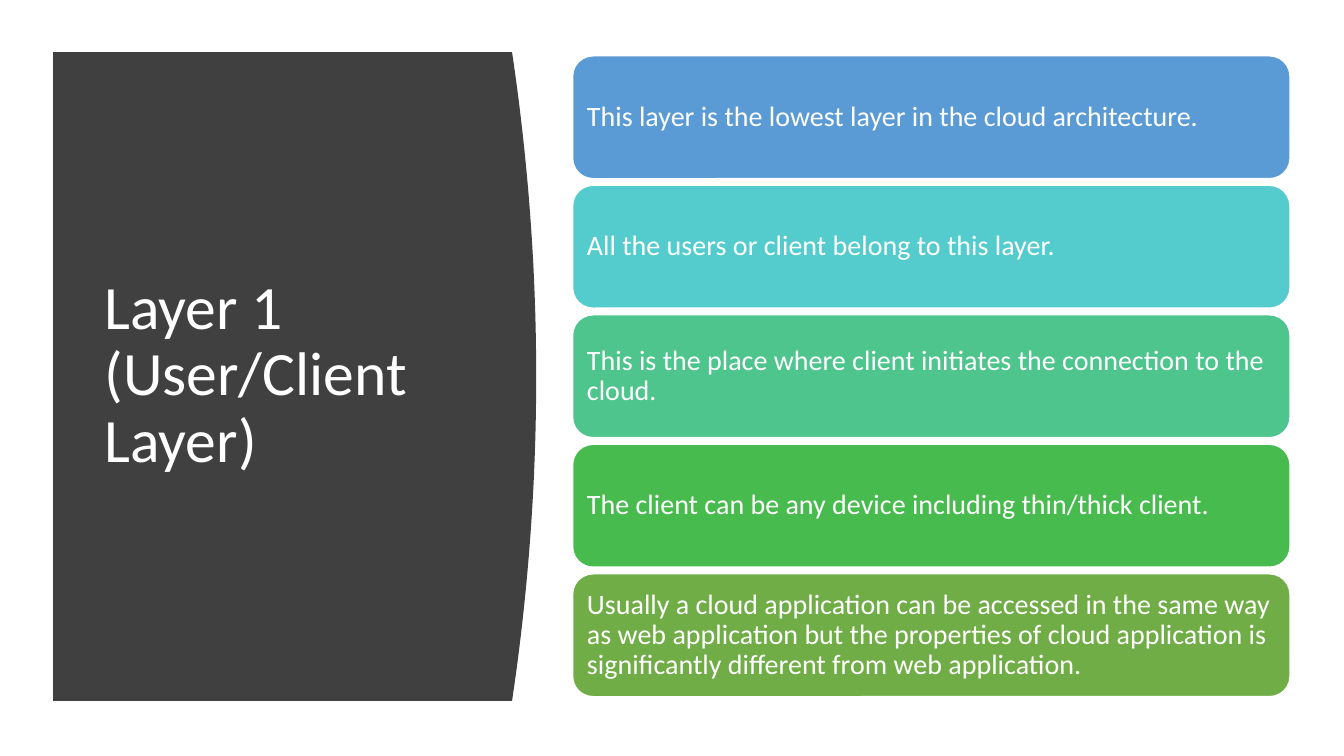
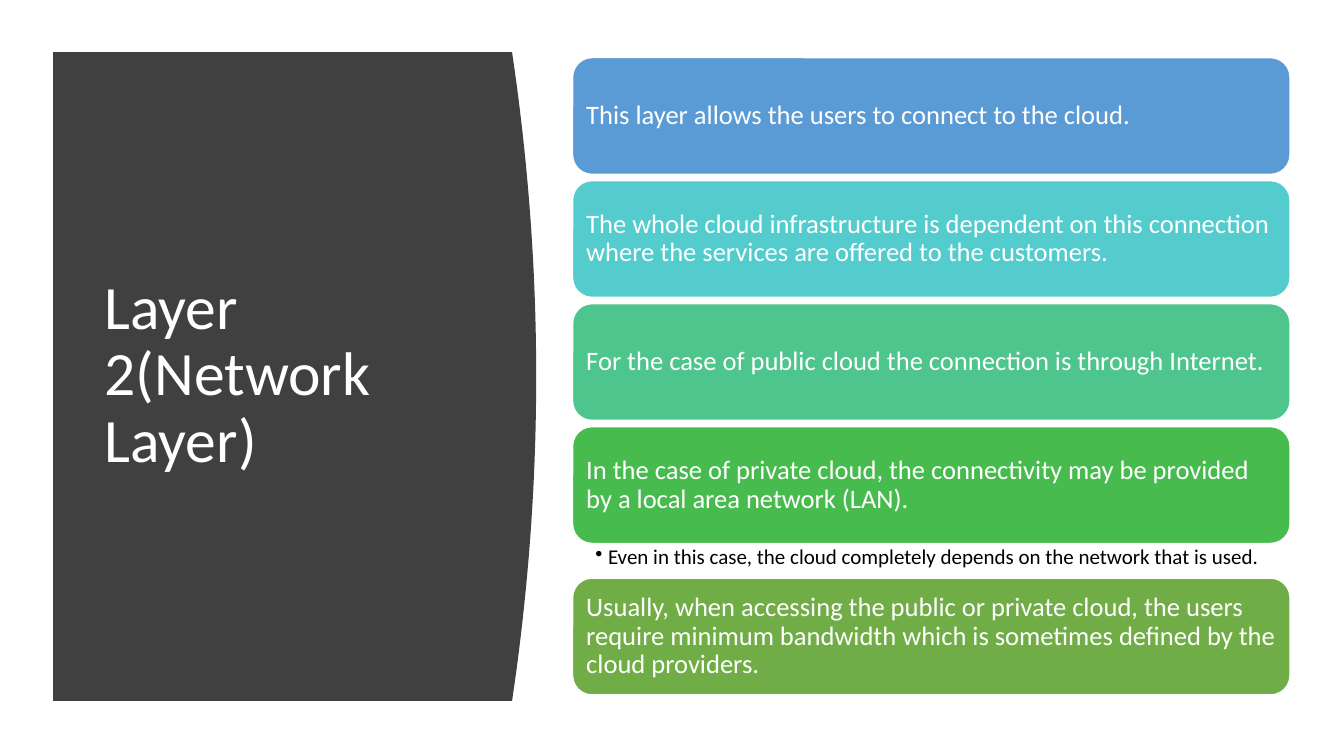
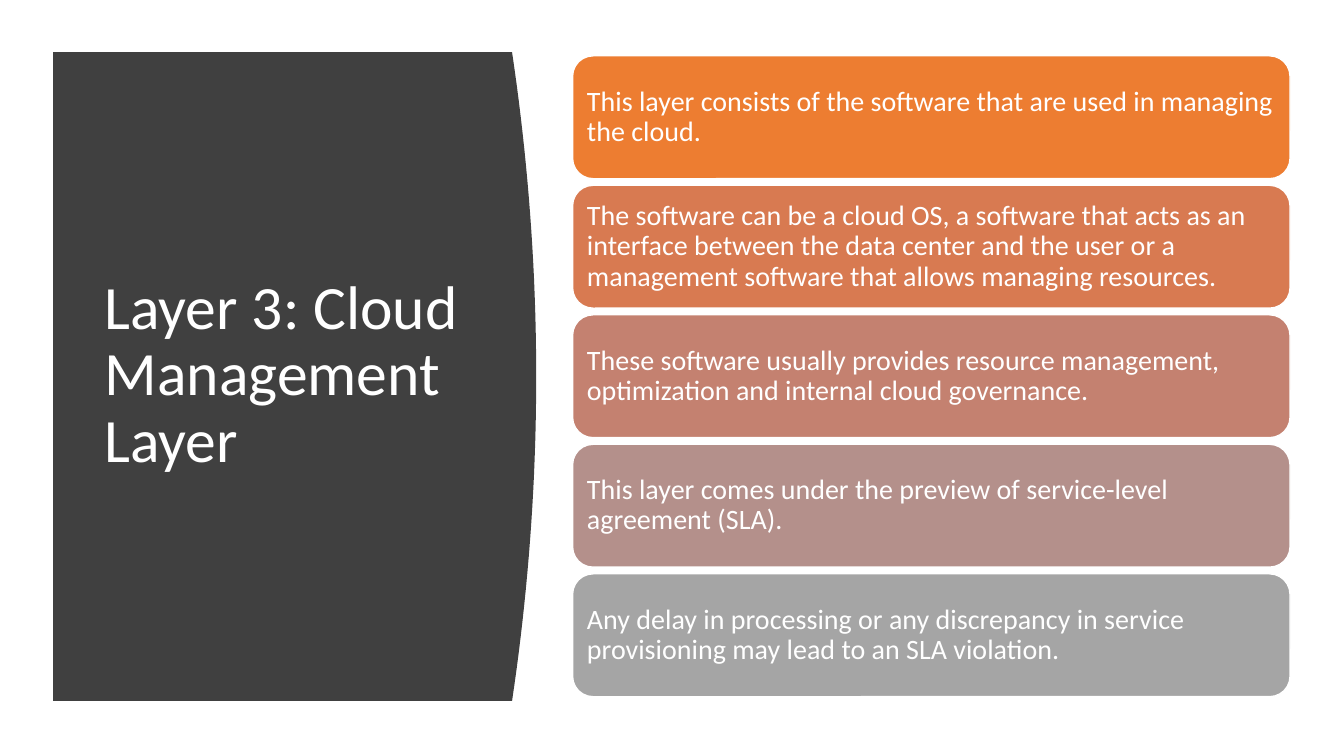
import lxml.etree
import pptx
import pptx.dml.color
import pptx.enum.shapes
import pptx.enum.text
import pptx.oxml.ns
import pptx.util

Pt = pptx.util.Pt

WHITE, BLACK, CHARCOAL = "FFFFFF", "000000", "404040"
BLUE_TO_GREEN = ["5B9BD5", "54CCCD", "4DC58D", "48BB4F", "70AD47"]
ORANGE_TO_GRAY = ["ED7D31", "D87A51", "C48170", "B4908B", "A5A5A5"]

LAYERS = [
    {
        "title": "Layer 1 (User/Client Layer)",
        "colors": BLUE_TO_GREEN,
        "size": 20,
        "cards": [
            "This layer is the lowest layer in the cloud architecture.",
            "All the users or client belong to this layer.",
            "This is the place where client initiates the connection to the cloud.",
            "The client can be any device including thin/thick client.",
            "Usually a cloud application can be accessed in the same way as web application "
            "but the properties of cloud application is significantly different from web "
            "application.",
        ],
        "notes": {},
    },
    {
        "title": "Layer 2(Network Layer)",
        "colors": BLUE_TO_GREEN,
        "size": 19,
        "cards": [
            "This layer allows the users to connect to the cloud.",
            "The whole cloud infrastructure is dependent on this connection where the "
            "services are offered to the customers.",
            "For the case of public cloud the connection is through Internet.",
            "In the case of private cloud, the connectivity may be provided by a local area "
            "network (LAN).",
            "Usually, when accessing the public or private cloud, the users require minimum "
            "bandwidth which is sometimes defined by the cloud providers.",
        ],
        "notes": {
            3: "Even in this case, the cloud completely depends on the network that is used.",
        },
    },
    {
        "title": "Layer 3: Cloud Management Layer",
        "colors": ORANGE_TO_GRAY,
        "size": 20,
        "cards": [
            "This layer consists of the software that are used in managing the cloud.",
            "The software can be a cloud OS, a software that acts as an interface between "
            "the data center and the user or a management software that allows managing "
            "resources.",
            "These software usually provides resource management, optimization and internal "
            "cloud governance.",
            "This layer comes under the preview of service-level agreement (SLA).",
            "Any delay in processing or any discrepancy in service provisioning may lead to "
            "an SLA violation.",
        ],
        "notes": {},
    },
]


def rgb(color):
    return pptx.dml.color.RGBColor.from_string(color)


class Deck:
    """Holds the shared style and the slide being built; lengths are in points."""

    font_name = "Calibri"
    stack_left, stack_width, stack_middle = 409, 512.5, 268.75
    note_height = 24.8

    def __init__(self):
        self.presentation = pptx.Presentation()
        self.presentation.slide_width = Pt(960)
        self.presentation.slide_height = Pt(540)
        self.slide = None

    def add_slide(self, title):
        layout = self.presentation.slide_layouts.get_by_name("Title Only")
        self.slide = self.presentation.slides.add_slide(layout)
        self.add_panel()
        self.set_title(title)

    def add_panel(self):
        """Draws the dark panel, its right edge a parabola, behind the title."""
        left, top, corner, bulge, height, steps = 38, 37.25, 365.75, 17.25, 463.5, 40
        edge = []
        for step in range(steps + 1):
            offset = 2 * step / steps - 1
            x = corner + bulge * (1 - offset ** 2)
            edge.append((Pt(x), Pt(top + height * step / steps)))
        builder = self.slide.shapes.build_freeform(Pt(left), Pt(top))
        builder.add_line_segments(edge + [(Pt(left), Pt(top + height))], close=True)
        panel = builder.convert_to_shape()
        panel.shadow.inherit = False
        panel.fill.solid()
        panel.fill.fore_color.rgb = rgb(CHARCOAL)
        panel.line.fill.background()
        self.slide.shapes.title.element.addprevious(panel.element)

    def set_title(self, text):
        title = self.slide.shapes.title
        title.left, title.top, title.width, title.height = Pt(67.5), Pt(80), Pt(269.5), Pt(377)
        self.set_text(title.text_frame, text, 44, WHITE)

    def set_text(self, frame, text, size, color):
        frame.word_wrap = True
        frame.auto_size = pptx.enum.text.MSO_AUTO_SIZE.NONE
        frame.vertical_anchor = pptx.enum.text.MSO_ANCHOR.MIDDLE
        paragraph = frame.paragraphs[0]
        paragraph.text = text
        paragraph.alignment = pptx.enum.text.PP_ALIGN.LEFT
        paragraph.line_spacing = 0.9
        paragraph.font.name = self.font_name
        paragraph.font.size = Pt(size)
        paragraph.font.color.rgb = rgb(color)

    def add_card(self, text, top, height, color, size):
        card = self.slide.shapes.add_shape(
            pptx.enum.shapes.MSO_SHAPE.ROUNDED_RECTANGLE,
            Pt(self.stack_left), Pt(top), Pt(self.stack_width), Pt(height))
        card.shadow.inherit = False
        card.fill.solid()
        card.fill.fore_color.rgb = rgb(color)
        card.line.color.rgb = rgb(WHITE)
        card.line.width = Pt(1)
        frame = card.text_frame
        frame.margin_left = frame.margin_right = Pt(0.3 * size)
        frame.margin_top = frame.margin_bottom = Pt(0.3 * size)
        self.set_text(frame, text, size, WHITE)

    def add_note(self, text, top):
        """Adds a bulleted line between two cards."""
        note = self.slide.shapes.add_textbox(
            Pt(self.stack_left), Pt(top), Pt(self.stack_width), Pt(self.note_height))
        frame = note.text_frame
        frame.margin_left, frame.margin_right = Pt(16.3), Pt(10.6)
        frame.margin_top = frame.margin_bottom = Pt(2)
        properties = frame.paragraphs[0]._p.get_or_add_pPr()
        properties.set("marL", str(Pt(9)))
        properties.set("indent", str(-Pt(9)))
        bullet = lxml.etree.SubElement(properties, pptx.oxml.ns.qn("a:buChar"))
        bullet.set("char", "•")
        self.set_text(frame, text, 15, BLACK)
        frame.vertical_anchor = pptx.enum.text.MSO_ANCHOR.TOP

    def add_stack(self, cards, notes, colors, size):
        """Stacks cards around a fixed middle; a note takes the place of a gap."""
        height, gap = 4.39 * size, 0.235 * size
        gaps = [self.note_height if index in notes else gap for index in range(len(cards) - 1)]
        top = self.stack_middle - (height * len(cards) + sum(gaps)) / 2
        for index, (text, color) in enumerate(zip(cards, colors)):
            self.add_card(text, top, height, color, size)
            top += height
            if index in notes:
                self.add_note(notes[index], top)
            if index < len(gaps):
                top += gaps[index]


def main():
    deck = Deck()
    for layer in LAYERS:
        deck.add_slide(layer["title"])
        deck.add_stack(layer["cards"], layer["notes"], layer["colors"], layer["size"])
    deck.presentation.save("out.pptx")


if __name__ == "__main__":
    main()
